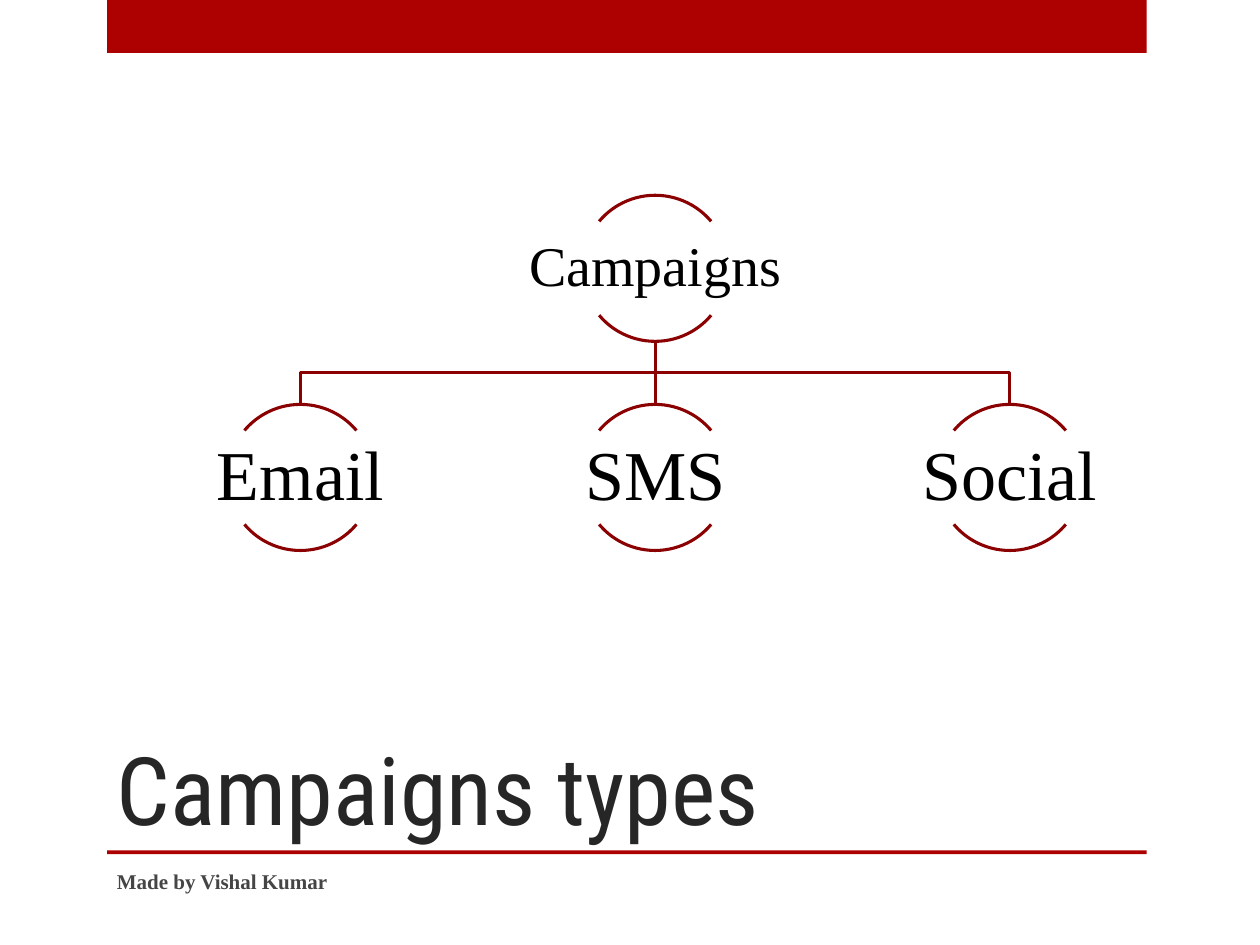
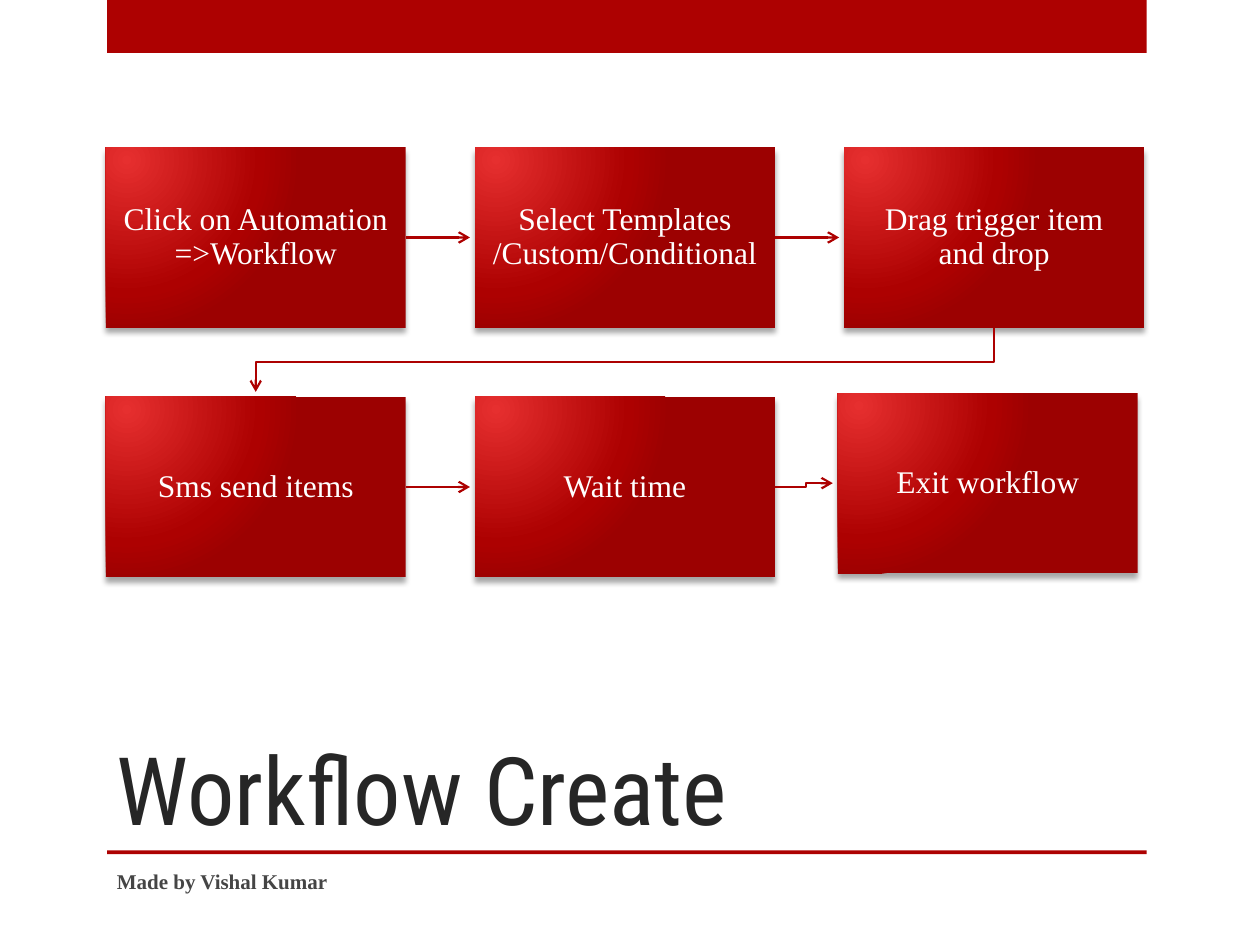
"""Builds two slides: a tree of campaign types and a workflow of six steps."""
import lxml.etree
import pptx
import pptx.dml.color
import pptx.enum.shapes
import pptx.enum.text
import pptx.oxml
import pptx.oxml.ns
import pptx.util

Inches = pptx.util.Inches
RGBColor = pptx.dml.color.RGBColor
SHAPE = pptx.enum.shapes.MSO_SHAPE
ANCHOR = pptx.enum.text.MSO_ANCHOR
ALIGN = pptx.enum.text.PP_ALIGN
qn = pptx.oxml.ns.qn

TREE_TITLE = "Campaigns types"
TREE_ROOT = "Campaigns"
TREE_CHILDREN = ["Email", "SMS", "Social"]
WORKFLOW_TITLE = "Workflow Create"
WORKFLOW_ROWS = [
    ["Click on Automation =>Workflow", "Select Templates /Custom/Conditional", "Drag trigger item and drop"],
    ["Sms send items", "Wait time", "Exit workflow"],
]
STEP_SHIFTS = {"Exit workflow": (-0.05, -0.03)}
FOOTER = "Made by Vishal Kumar"

RED = RGBColor(0xAD, 0x01, 0x01)
DARK_RED = RGBColor(0x8B, 0x01, 0x01)
TITLE_COLOR = RGBColor(0x26, 0x26, 0x26)
FOOTER_COLOR = RGBColor(0x45, 0x45, 0x45)
BLACK = RGBColor(0, 0, 0)
WHITE = RGBColor(0xFF, 0xFF, 0xFF)
TITLE_FONT = "Roboto Condensed"
BODY_FONT = "Times New Roman"

BAND_LEFT, BAND_WIDTH = 0.85, 8.25
CIRCLE = 1.16
TOP_ARC, BOTTOM_ARC = (132, 192), (24, 84)
TREE_CENTER, TREE_PITCH = 5.2, 2.815
ROOT_TOP, CHILD_TOP = 1.55, 3.21
LABEL_WIDTH, LABEL_HEIGHT = 2.33, 0.74
STEP_LEFT, STEP_TOP = 0.84, 1.17
STEP_WIDTH, STEP_HEIGHT = 2.38, 1.43
STEP_PITCH_X, STEP_PITCH_Y = 2.93, 1.98
ARROW_GAP = 0.04

STEP_FILL = """<a:gradFill xmlns:a="http://schemas.openxmlformats.org/drawingml/2006/main" rotWithShape="1">
<a:gsLst><a:gs pos="0"><a:srgbClr val="E62F2F"/></a:gs><a:gs pos="76000"><a:srgbClr val="AD0101"/></a:gs>
<a:gs pos="100000"><a:srgbClr val="9C0101"/></a:gs></a:gsLst>
<a:path path="circle"><a:fillToRect l="15000" t="15000" r="100000" b="100000"/></a:path></a:gradFill>"""
STEP_SHADOW = """<a:outerShdw xmlns:a="http://schemas.openxmlformats.org/drawingml/2006/main"
blurRad="38100" dist="38100" dir="5400000" rotWithShape="0">
<a:srgbClr val="000000"><a:alpha val="35000"/></a:srgbClr></a:outerShdw>"""


def write_text(shape, text, size, color, font=BODY_FONT, bold=False, align=ALIGN.LEFT,
               anchor=ANCHOR.MIDDLE, margin=None, spacing=None):
    frame = shape.text_frame
    frame.text = text
    frame.word_wrap = True
    frame.vertical_anchor = anchor
    if margin is not None:
        frame.margin_left = frame.margin_right = Inches(margin)
        frame.margin_top = frame.margin_bottom = Inches(margin)
    para = frame.paragraphs[0]
    para.alignment = align
    para.line_spacing = spacing
    span = para.runs[0]
    span.font.name, span.font.size, span.font.bold = font, pptx.util.Pt(size), bold
    span.font.color.rgb = color


def add_textbox(page, area, text, size, color, **style):
    box = page.shapes.add_textbox(*map(Inches, area))
    write_text(box, text, size, color, **style)


def add_plain_shape(page, kind, area):
    shape = page.shapes.add_shape(kind, *map(Inches, area))
    shape.shadow.inherit = False
    shape.fill.background()
    shape.line.fill.background()
    return shape


def add_path(page, points, color, width, arrow=False):
    points = [(Inches(x), Inches(y)) for x, y in points]
    if len(points) == 2:
        path = page.shapes.add_connector(pptx.enum.shapes.MSO_CONNECTOR.STRAIGHT, *points[0], *points[1])
    else:
        builder = page.shapes.build_freeform(*points[0])
        builder.add_line_segments(points[1:], close=False)
        path = builder.convert_to_shape()
        path.fill.background()
    path.line.color.rgb = color
    path.line.width = pptx.util.Pt(width)
    properties = path.element.spPr
    if arrow:
        lxml.etree.SubElement(properties.find(qn("a:ln")), qn("a:tailEnd"), type="arrow")
    lxml.etree.SubElement(properties, qn("a:effectLst"))


def add_page(deck, title):
    page = deck.slides.add_slide(deck.slide_layouts[6])
    for top, height in [(0, 0.42), (6.75, 0.03)]:
        band = add_plain_shape(page, SHAPE.RECTANGLE, (BAND_LEFT, top, BAND_WIDTH, height))
        band.fill.solid()
        band.fill.fore_color.rgb = RED
    add_textbox(page, (0.83, 5, 7.42, 1.75), title, 54, TITLE_COLOR, font=TITLE_FONT, anchor=ANCHOR.BOTTOM)
    add_textbox(page, (0.83, 6.79, 5.33, 0.4), FOOTER, 12, FOOTER_COLOR, bold=True)
    return page


def add_node(page, center, top, text, size, margin):
    for angles in (TOP_ARC, BOTTOM_ARC):
        arc = add_plain_shape(page, SHAPE.ARC, (center - CIRCLE / 2, top, CIRCLE, CIRCLE))
        arc.adjustments[0], arc.adjustments[1] = angles
        arc.line.color.rgb = DARK_RED
        arc.line.width = pptx.util.Pt(1.75)
    label_top = top + (CIRCLE - LABEL_HEIGHT) / 2
    add_textbox(page, (center - LABEL_WIDTH / 2, label_top, LABEL_WIDTH, LABEL_HEIGHT), text, size, BLACK,
                align=ALIGN.CENTER, margin=margin, spacing=0.9)


def add_tree(page):
    root_bottom = ROOT_TOP + CIRCLE
    middle = (root_bottom + CHILD_TOP) / 2
    add_node(page, TREE_CENTER, ROOT_TOP, TREE_ROOT, 32, 0.02)
    for index, text in enumerate(TREE_CHILDREN):
        center = TREE_CENTER + (index - 1) * TREE_PITCH
        points = [(TREE_CENTER, root_bottom), (center, CHILD_TOP)]
        if center != TREE_CENTER:
            points[1:1] = [(TREE_CENTER, middle), (center, middle)]
        add_path(page, points, DARK_RED, 1.75)
        add_node(page, center, CHILD_TOP, text, 40, 0.03)


def add_step(page, left, top, text):
    step = add_plain_shape(page, SHAPE.RECTANGLE, (left, top, STEP_WIDTH, STEP_HEIGHT))
    properties = step.element.spPr
    properties.replace(properties.find(qn("a:noFill")), pptx.oxml.parse_xml(STEP_FILL))
    properties.find(qn("a:effectLst")).append(pptx.oxml.parse_xml(STEP_SHADOW))
    write_text(step, text, 18, WHITE, align=ALIGN.CENTER, margin=0.14, spacing=0.9)


def arrow_points(source, target):
    (left, top), (next_left, next_top) = source, target
    if next_left > left:
        start = (left + STEP_WIDTH, top + STEP_HEIGHT / 2)
        end = (next_left - ARROW_GAP, next_top + STEP_HEIGHT / 2)
        if top == next_top:
            return [start, end]
        middle = (start[0] + next_left) / 2
        return [start, (middle, start[1]), (middle, end[1]), end]
    start = (left + STEP_WIDTH / 2, top + STEP_HEIGHT)
    end = (next_left + STEP_WIDTH / 2, next_top - ARROW_GAP)
    middle = (start[1] + next_top) / 2
    return [start, (start[0], middle), (end[0], middle), end]


def add_workflow(page):
    places = []
    for row, texts in enumerate(WORKFLOW_ROWS):
        for column, text in enumerate(texts):
            shift_x, shift_y = STEP_SHIFTS.get(text, (0, 0))
            place = (STEP_LEFT + column * STEP_PITCH_X + shift_x, STEP_TOP + row * STEP_PITCH_Y + shift_y)
            add_step(page, *place, text)
            places.append(place)
    for source, target in zip(places, places[1:]):
        add_path(page, arrow_points(source, target), RED, 1.25, arrow=True)


def main():
    deck = pptx.Presentation()
    deck.slide_width, deck.slide_height = Inches(10), Inches(7.5)
    add_tree(add_page(deck, TREE_TITLE))
    add_workflow(add_page(deck, WORKFLOW_TITLE))
    deck.save("out.pptx")


if __name__ == "__main__":
    main()
